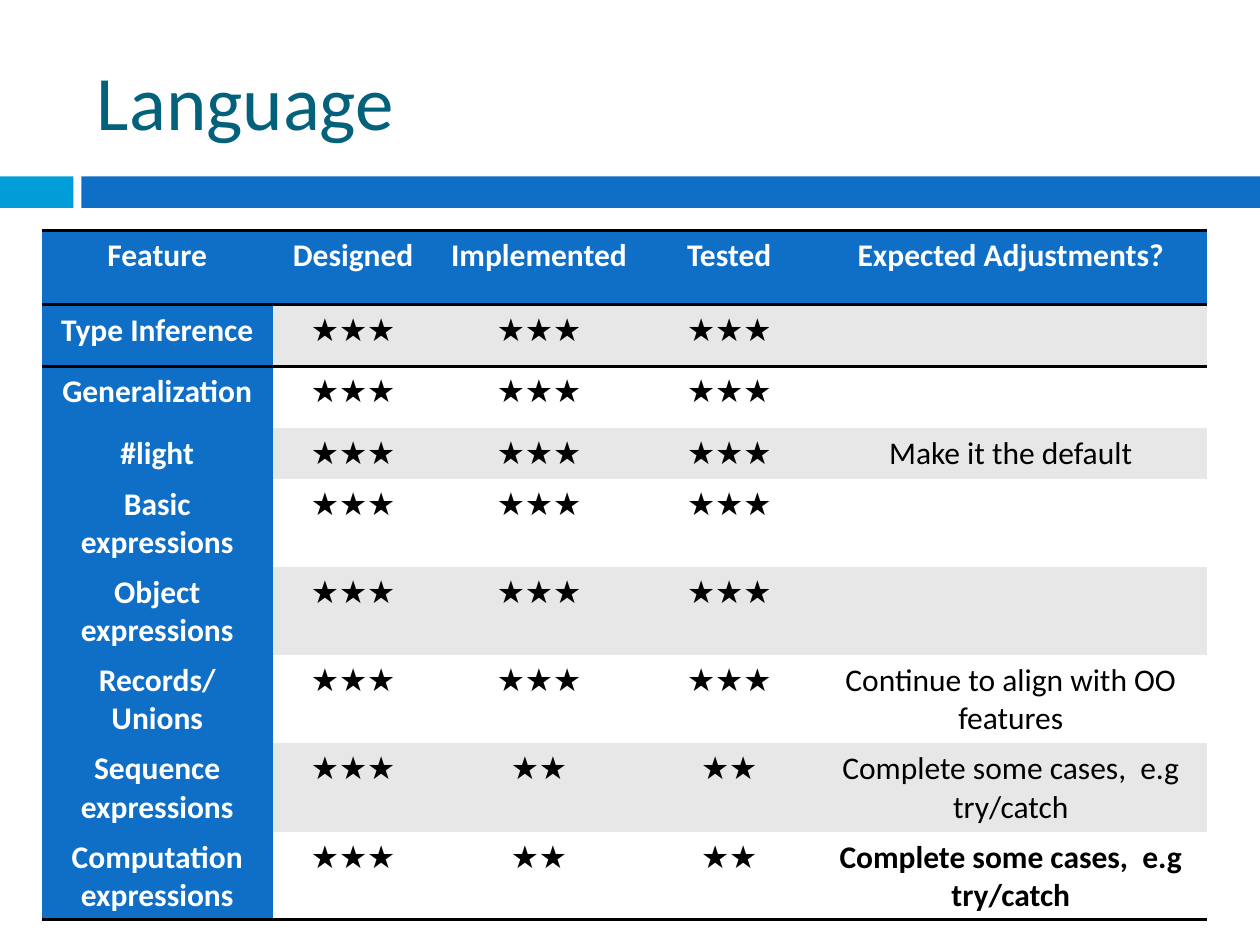
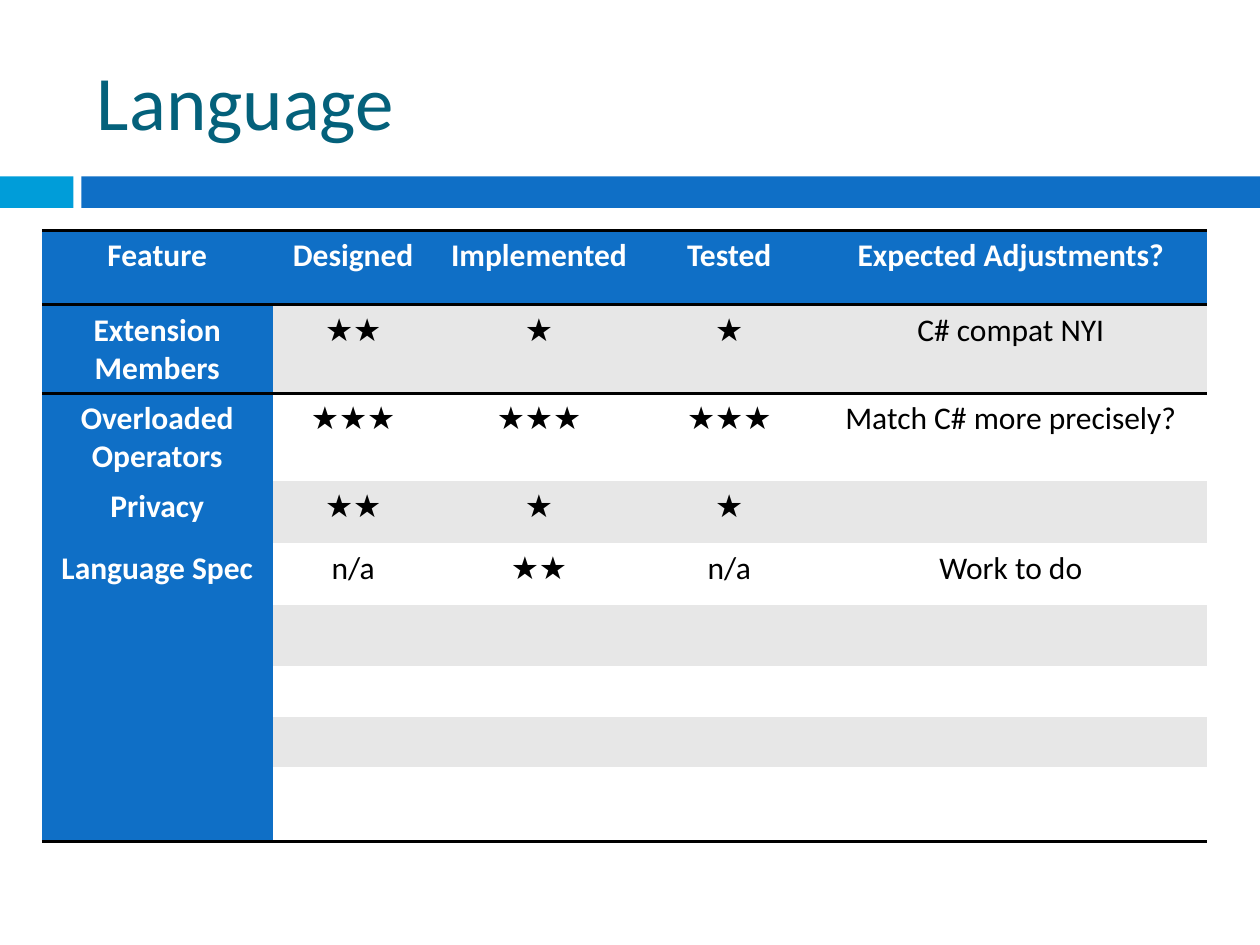
from pptx import Presentation
from pptx.dml.color import RGBColor
from pptx.enum.shapes import MSO_SHAPE
from pptx.enum.text import MSO_ANCHOR, PP_ALIGN
from pptx.oxml import parse_xml
from pptx.oxml.ns import nsdecls
from pptx.util import Inches, Pt

WIDTH, HEIGHT = Inches(10), Inches(7.5)
FONT = "Calibri"
BLUE = RGBColor(0x0F, 0x6F, 0xC6)
CYAN = RGBColor(0x00, 0x9D, 0xD9)
TEAL = RGBColor(0x04, 0x61, 0x7B)
GREY = RGBColor(0xE7, 0xE7, 0xE7)
WHITE = RGBColor(0xFF, 0xFF, 0xFF)
BLACK = RGBColor(0x00, 0x00, 0x00)
NO_GRID_STYLE = "{2D5ABB26-0587-4C30-8999-92F81FD0307C}"

HEADINGS = ("Feature", "Designed", "Implemented", "Tested", "Expected Adjustments?")
COLUMNS = (18.3, 12.8, 16.7, 13.5, 31.2)
TALL, MEDIUM, SHORT = 7.87, 6.53, 4.53

CORE_FEATURES = [
    (MEDIUM, "Type Inference", "★★★", "★★★", "★★★", ""),
    (MEDIUM, "Generalization", "★★★", "★★★", "★★★", ""),
    (SHORT, "#light", "★★★", "★★★", "★★★", "Make it the default"),
    (TALL, "Basic expressions", "★★★", "★★★", "★★★", ""),
    (TALL, "Object expressions", "★★★", "★★★", "★★★", ""),
    (TALL, "Records/Unions", "★★★", "★★★", "★★★", "Continue to align with OO features"),
    (TALL, "Sequence expressions", "★★★", "★★", "★★", "Complete some cases,  e.g try/catch"),
    (TALL, "Computation expressions", "★★★", "★★", "★★", "Complete some cases,  e.g try/catch"),
]
EMPTY = ("",) * len(HEADINGS)
OTHER_FEATURES = [
    (MEDIUM, "Extension Members", "★★", "★", "★", "C# compat NYI"),
    (MEDIUM, "Overloaded Operators", "★★★", "★★★", "★★★", "Match C# more precisely?"),
    (MEDIUM, "Privacy", "★★", "★", "★", ""),
    (MEDIUM, "Language Spec", "n/a", "★★", "n/a", "Work to do"),
    (MEDIUM, *EMPTY),
    (SHORT, *EMPTY),
    (SHORT, *EMPTY),
    (TALL, *EMPTY),
]


def across(percent):
    return round(WIDTH * percent / 100)


def down(percent):
    return round(HEIGHT * percent / 100)


def box(left, top, width, height):
    return across(left), down(top), across(width), down(height)


def write(tf, text, size=18, color=BLACK, bold=False, align=PP_ALIGN.LEFT):
    p = tf.paragraphs[0]
    p.alignment = align
    if text:
        r = p.add_run()
        r.text = text
        r.font.name = FONT
        r.font.size = Pt(size)
        r.font.bold = bold
        r.font.color.rgb = color


def add_band(s, left, width, color):
    sp = s.shapes.add_shape(MSO_SHAPE.RECTANGLE, *box(left, 18.67, width, 3.33))
    sp.shadow.inherit = False
    sp.fill.solid()
    sp.fill.fore_color.rgb = color
    sp.line.fill.background()


def add_title(s, text):
    tf = s.shapes.add_textbox(*box(6.7, 3.33, 89.2, 14.4)).text_frame
    tf.word_wrap = True
    tf.vertical_anchor = MSO_ANCHOR.MIDDLE
    write(tf, text, size=44, color=TEAL)


def add_rules(cell, *edges):
    tcPr = cell._tc.get_or_add_tcPr()
    for i, edge in enumerate(edges):
        tcPr.insert(i, parse_xml(
            f'<a:{edge} {nsdecls("a")} w="{Pt(2)}"><a:solidFill>'
            f'<a:srgbClr val="{BLACK}"/></a:solidFill></a:{edge}>'))


def add_status_table(s, features):
    rows = [(TALL, *HEADINGS), *features]
    last = len(rows) - 1
    heights = [row[0] for row in rows]
    frame = s.shapes.add_table(len(rows), len(COLUMNS),
                               *box(3.33, 24.4, sum(COLUMNS), sum(heights)))
    table = frame.table
    table._tbl.tblPr[0].text = NO_GRID_STYLE
    table.horz_banding = False
    for column, width in zip(table.columns, COLUMNS):
        column.width = across(width)
    for i, (height, *texts) in enumerate(rows):
        table.rows[i].height = down(height)
        for j, text in enumerate(texts):
            cell = table.cell(i, j)
            heading = i == 0 or j == 0
            cell.fill.solid()
            cell.fill.fore_color.rgb = BLUE if heading else GREY if i % 2 else WHITE
            write(cell.text_frame, text, color=WHITE if heading else BLACK,
                  bold=heading or i == last, align=PP_ALIGN.CENTER)
            if i == 0:
                add_rules(cell, "lnT", "lnB")
            elif i == 1:
                add_rules(cell, "lnT")
            elif i == last:
                add_rules(cell, "lnB")


def add_status_slide(prs, title, features):
    s = prs.slides.add_slide(prs.slide_layouts[6])
    add_band(s, 0, 5.83, CYAN)
    add_band(s, 6.46, 93.54, BLUE)
    add_title(s, title)
    add_status_table(s, features)


def main():
    prs = Presentation()
    prs.slide_width, prs.slide_height = WIDTH, HEIGHT
    for features in (CORE_FEATURES, OTHER_FEATURES):
        add_status_slide(prs, "Language", features)
    prs.save("out.pptx")


if __name__ == "__main__":
    main()
